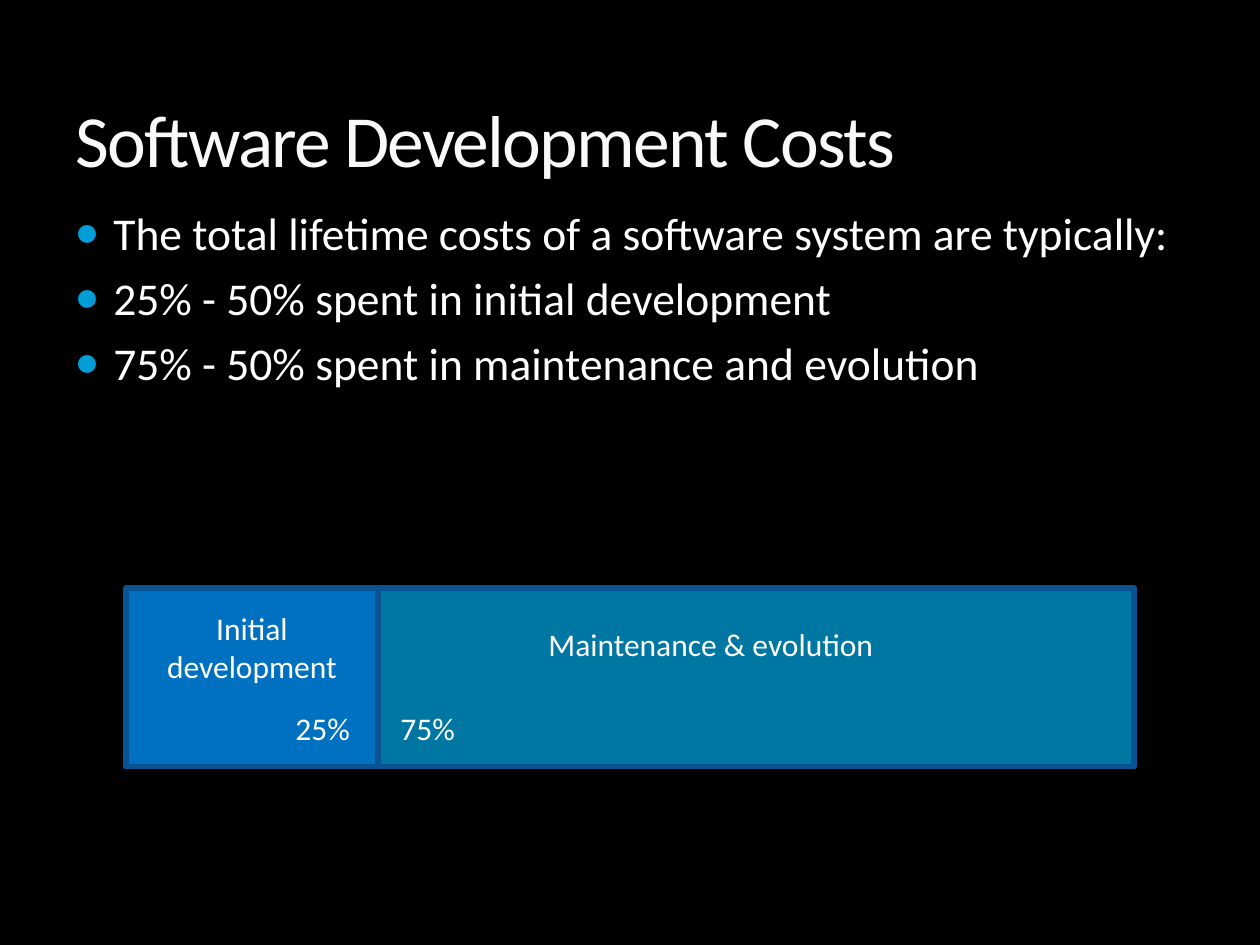
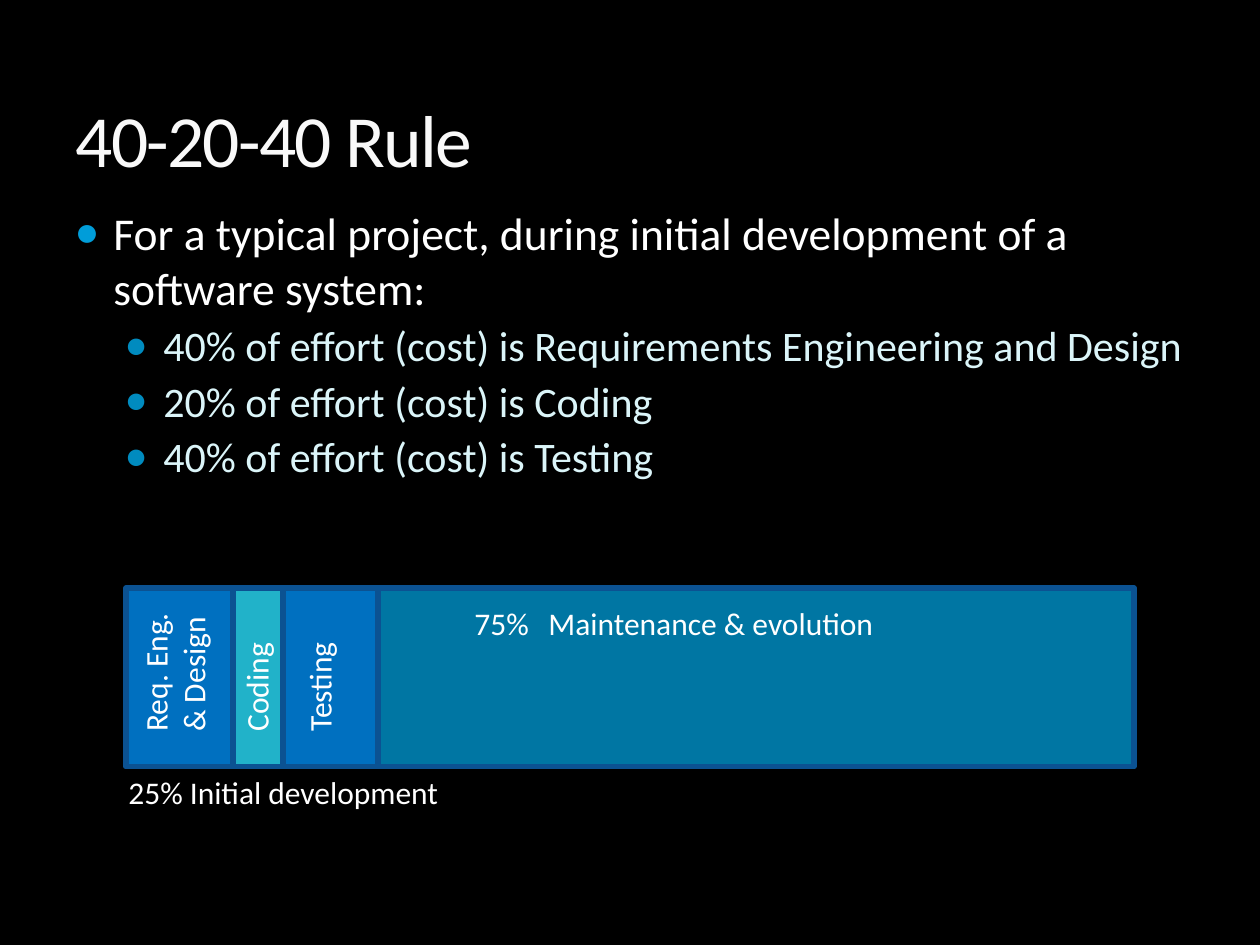
from pptx import Presentation
from pptx.dml.color import RGBColor
from pptx.enum.shapes import MSO_SHAPE as Shape
from pptx.enum.text import MSO_ANCHOR as Anchor, MSO_AUTO_SIZE as Fit, PP_ALIGN as Align
from pptx.oxml import parse_xml
from pptx.oxml.ns import nsdecls
from pptx.util import Emu, Pt

PX = 914400 // 126
FONT = "Calibri"
BLACK, WHITE, PALE = "000000", "FFFFFF", "F9F9F9"
BLUE, TEAL, AQUA, EDGE = "0070C0", "0076A3", "21B2C9", "0B5292"
TITLE = (63, 21, 1134, 168)
BODY = (63, 199, 1134, 645)
BAR = (126, 588, 1008, 179)

# Bullet levels: size, text colour, bullet colour, left margin, space before
LEVELS = [(26, WHITE, "009DD9", 38, 6), (24, "DBF5F9", "008BBF", 88, 3)]


def color(code):
    return RGBColor.from_string(code)


def node(tag, body="", **attrs):
    pairs = " ".join(f'{key}="{val}"' for key, val in attrs.items())
    return parse_xml(f'<a:{tag} {nsdecls("a")} {pairs}>{body}</a:{tag}>')


def place(shape, box):
    shape.left, shape.top, shape.width, shape.height = (Emu(n * PX) for n in box)


def write(par, text, size=18, tint=WHITE, align=Align.LEFT):
    par.alignment = align
    run = par.add_run()
    run.text = text
    run.font.name, run.font.size = FONT, Pt(size)
    run.font.color.rgb = color(tint)
    return run


def frame(slide, box):
    shape = slide.shapes.add_textbox(0, 0, 0, 0)
    place(shape, box)
    shape.text_frame.word_wrap = True
    return shape.text_frame


def label(slide, text, box, turn=False, **form):
    area = frame(slide, box)
    if turn:
        area._txBody.bodyPr.set("vert", "vert270")
    write(area.paragraphs[0], text, **form)


def head(slide, text, box):
    title = slide.shapes.title
    place(title, box)
    area = title.text_frame
    area.vertical_anchor, area.auto_size = Anchor.BOTTOM, Fit.NONE
    run = write(area.paragraphs[0], text, size=42, tint=PALE)
    # Tight letters with a faint outline
    props = run.font._element
    props.set("spc", "-100")
    fill = '<a:solidFill><a:srgbClr val="04566D"><a:alpha val="25000"/></a:srgbClr></a:solidFill>'
    props.insert(0, node("ln", fill, w=3175))


def bullets(slide, items, box):
    area = frame(slide, box)
    for i, (level, text) in enumerate(items):
        par = area.add_paragraph() if i else area.paragraphs[0]
        size, tint, dot, left, gap = LEVELS[level]
        par.level, par.space_before = level, Pt(gap)
        write(par, text, size=size, tint=tint)
        props = par._p.get_or_add_pPr()
        props.set("marL", str(left * PX))
        props.set("indent", str(-38 * PX))
        props.append(node("buClr", f'<a:srgbClr val="{dot}"/>'))
        props.append(node("buSzPct", val=85000))
        props.append(node("buFont", typeface=FONT))
        props.append(node("buChar", char="●"))


def block(slide, box, fill):
    shape = slide.shapes.add_shape(Shape.RECTANGLE, 0, 0, 0, 0)
    place(shape, box)
    shape.shadow.inherit = False
    shape.fill.solid()
    shape.fill.fore_color.rgb = color(fill)
    shape.line.color.rgb = color(EDGE)
    shape.line.width = Pt(3)


def split(slide, box):
    """Draw the cost bar: a quarter for development, the rest for upkeep."""
    x, y, w, h = box
    part = w // 4
    block(slide, (x, y, part, h), BLUE)
    block(slide, (x + part, y, w - part, h), TEAL)


def costs(slide, box):
    x, y, w, h = box
    split(slide, box)
    label(slide, "25%", (x + 157, y + 115, 84, 50))
    label(slide, "75%", (x + 262, y + 115, 84, 50))
    label(slide, "Initial development", (x + 21, y + 15, 210, 90), align=Align.CENTER)
    label(slide, "Maintenance & evolution", (x + 410, y + 31, 388, 53))


def phases(slide, box):
    x, y, w, h = box
    split(slide, box)
    label(slide, "75%", (x + 336, y + 10, 84, 50))
    label(slide, "25% Initial development", (x - 10, y + h, 346, 50))
    label(slide, "Maintenance & evolution", (x + 410, y + 10, 388, 53))
    block(slide, (x + 107, y, 50, h), AQUA)
    label(slide, "Req. Eng. & Design", (x + 4, y, 102, 156), turn=True)
    for text, left in (("Coding", 105), ("Testing", 168)):
        label(slide, text, (x + left, y + 21, 63, 135), turn=True)


def page(deck, title, items, chart):
    slide = deck.slides.add_slide(deck.slide_layouts[5])
    slide.background.fill.solid()
    slide.background.fill.fore_color.rgb = color(BLACK)
    head(slide, title, TITLE)
    bullets(slide, items, BODY)
    chart(slide, BAR)


deck = Presentation()
deck.slide_width, deck.slide_height = Emu(1260 * PX), Emu(945 * PX)

page(deck, "Software Development Costs", [
    (0, "The total lifetime costs of a software system are typically:"),
    (0, "25% - 50% spent in initial development"),
    (0, "75% - 50% spent in maintenance and evolution"),
], costs)

page(deck, "40-20-40 Rule", [
    (0, "For a typical project, during initial development of a software system:"),
    (1, "40% of effort (cost) is Requirements Engineering and Design"),
    (1, "20% of effort (cost) is Coding"),
    (1, "40% of effort (cost) is Testing"),
], phases)

deck.save("out.pptx")
